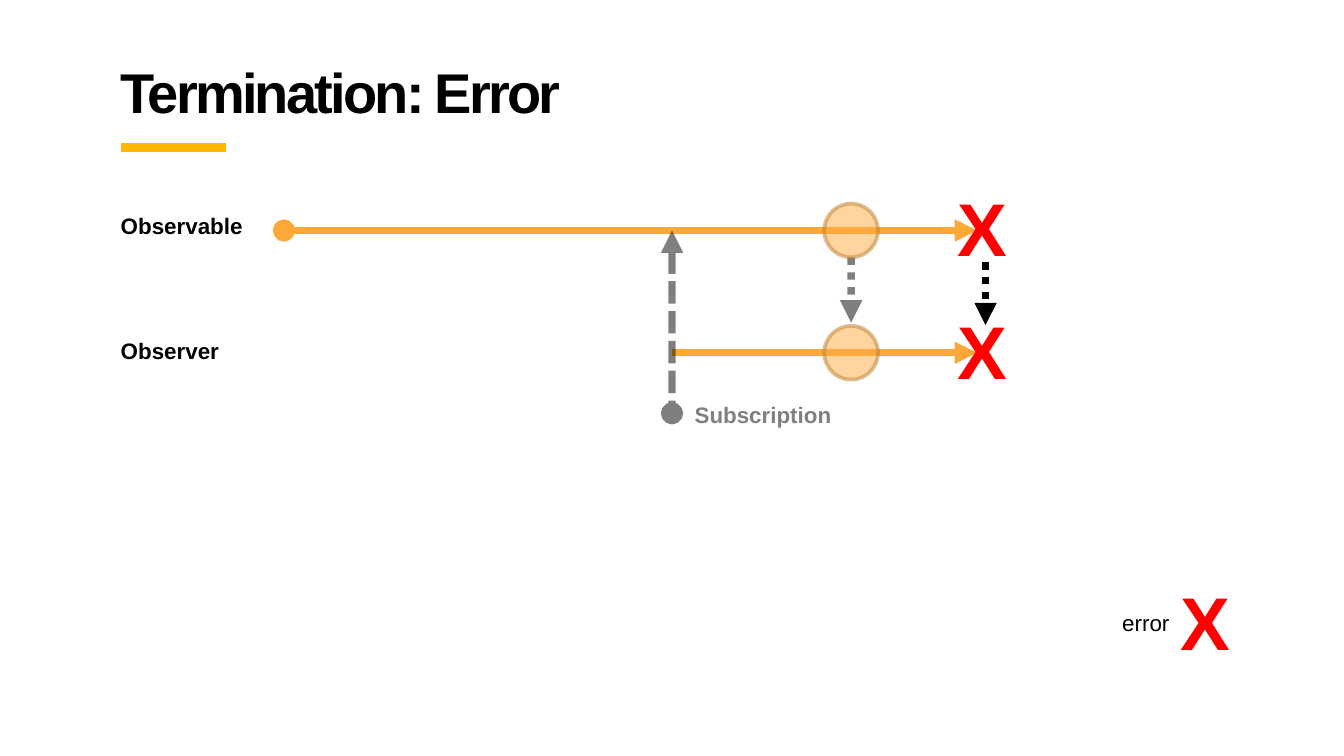
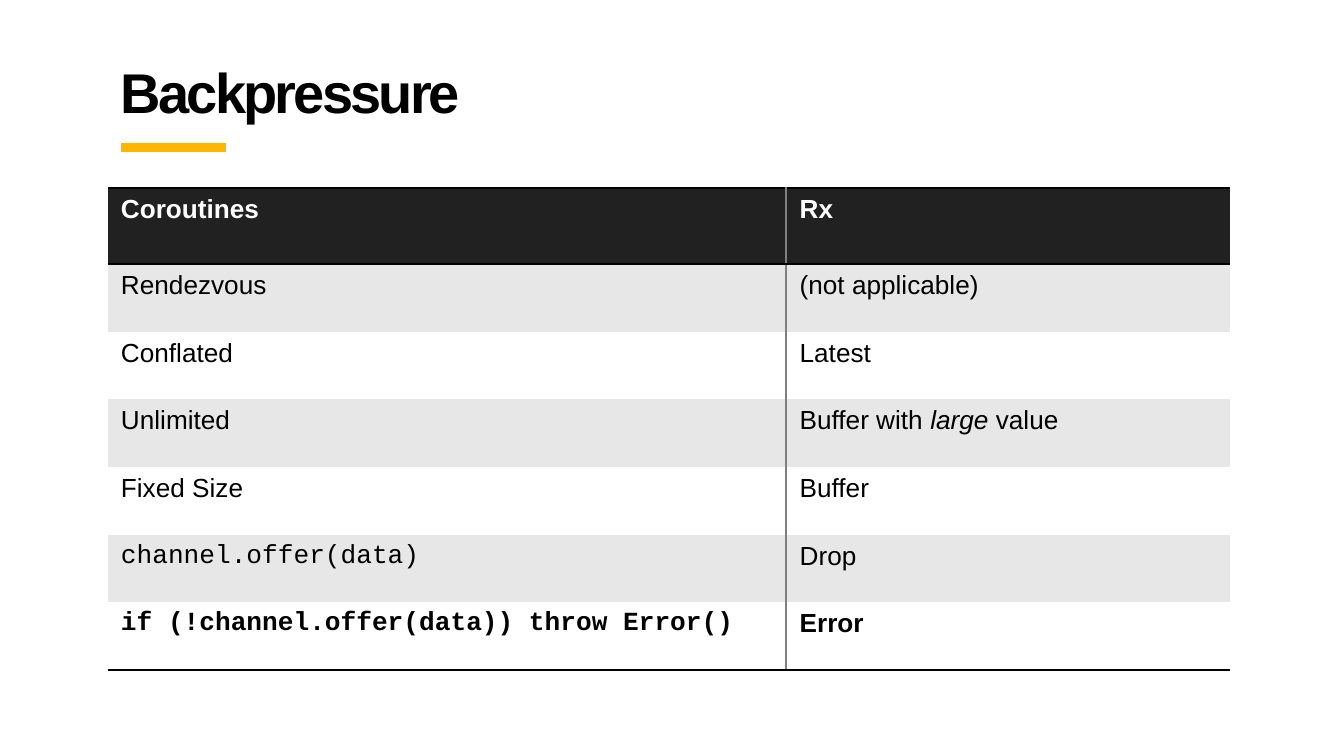
import pptx
import pptx.dml.color
import pptx.enum.dml
import pptx.enum.shapes
import pptx.enum.text
import pptx.oxml.ns
import pptx.util
from lxml import etree

RGBColor = pptx.dml.color.RGBColor
BLACK = RGBColor(0x00, 0x00, 0x00)
WHITE = RGBColor(0xFF, 0xFF, 0xFF)
GRAY = RGBColor(0x80, 0x80, 0x80)
RED = RGBColor(0xFF, 0x00, 0x00)
YELLOW = RGBColor(0xFF, 0xB6, 0x00)
ORANGE = RGBColor(0xFE, 0xA8, 0x3A)
EVENT_FILL = RGBColor(0xFF, 0xAB, 0x40)
EVENT_LINE = RGBColor(0xBD, 0x7F, 0x2F)
HEADER = RGBColor(0x21, 0x21, 0x21)
BAND = RGBColor(0xE7, 0xE7, 0xE7)

SANS = "Arial"
MONO = "Courier New"
DASHED = pptx.enum.dml.MSO_LINE.SQUARE_DOT
DOTTED = pptx.enum.dml.MSO_LINE.ROUND_DOT
RIGHT = pptx.enum.text.PP_ALIGN.RIGHT
NO_TABLE_STYLE = "{2D5ABB26-0587-4C30-8999-92F81FD0307C}"

GRID_COLS, GRID_ROWS = 100, 56.25
MARGIN, CONTENT_WIDTH = 8, 83.5
OBSERVABLE_ROW, OBSERVER_ROW = 17.15, 26.25
SUBSCRIBE_COL, EVENT_COL, ERROR_COL, END_COL = 50, 63.33, 73.33, 72.7
EVENT_RADIUS = 2

HEADINGS = ["Coroutines", "Rx"]
STRATEGIES = [
    ([("Rendezvous", {})], [("(not applicable)", {})]),
    ([("Conflated", {})], [("Latest", {})]),
    ([("Unlimited", {})],
     [("Buffer with ", {}), ("large", {"italic": True}), (" value", {})]),
    ([("Fixed Size", {})], [("Buffer", {})]),
    ([("channel.offer(data)", {"font": MONO})], [("Drop", {})]),
    ([("if (!channel.offer(data)) throw Error()",
       {"font": MONO, "bold": True})],
     [("Error", {"bold": True})]),
]


def grid(*cells):
    return [pptx.util.Inches(n / 10) for n in cells]


def add_xml(parent, tag, **attributes):
    return etree.SubElement(parent, pptx.oxml.ns.qn(tag), **attributes)


def set_alpha(fill_parent, percent):
    for color in fill_parent.iter(pptx.oxml.ns.qn("a:srgbClr")):
        add_xml(color, "a:alpha", val=str(percent * 1000))


def add_run(p, text, size, color=BLACK, bold=False, italic=False, font=SANS):
    r = p.add_run()
    r.text = text
    r.font.name = font
    r.font.size = pptx.util.Pt(size)
    r.font.bold = bold
    r.font.italic = italic
    r.font.color.rgb = color
    return r


def add_label(s, box, text, size=12, color=BLACK, bold=True, align=None):
    tf = s.shapes.add_textbox(*grid(*box)).text_frame
    tf.word_wrap = True
    tf.auto_size = pptx.enum.text.MSO_AUTO_SIZE.SHAPE_TO_FIT_TEXT
    p = tf.paragraphs[0]
    p.alignment = align
    add_run(p, text, size, color, bold)


def add_line(s, start, end, color, width=4, dash=None, alpha=None,
             head=None, tail=None):
    c = s.shapes.add_connector(pptx.enum.shapes.MSO_CONNECTOR.STRAIGHT,
                               *grid(*start, *end))
    c.line.color.rgb = color
    c.line.width = pptx.util.Pt(width)
    if dash:
        c.line.dash_style = dash
    ln = c.line._get_or_add_ln()
    if alpha:
        set_alpha(ln, alpha)
    for tag, kind in (("a:headEnd", head), ("a:tailEnd", tail)):
        if kind:
            add_xml(ln, tag, type=kind)
    add_xml(c._element.spPr, "a:effectLst")


def add_event(s, row):
    size = 2 * EVENT_RADIUS
    sp = s.shapes.add_shape(
        pptx.enum.shapes.MSO_SHAPE.OVAL,
        *grid(EVENT_COL - EVENT_RADIUS, row - EVENT_RADIUS, size, size))
    sp.shadow.inherit = False
    sp.fill.solid()
    sp.fill.fore_color.rgb = EVENT_FILL
    sp.line.color.rgb = EVENT_LINE
    sp.line.width = pptx.util.Pt(2)
    set_alpha(sp._element.spPr, 50)


def add_error_mark(s, col, row):
    add_label(s, (col, row, 5.6, 7.7), "X", 40, RED)


def add_titled_slide(prs, title):
    s = prs.slides.add_slide(prs.slide_layouts[6])
    tf = s.shapes.add_textbox(*grid(MARGIN, 4, CONTENT_WIDTH, 6.3)).text_frame
    tf.word_wrap = True
    tf.margin_top = tf.margin_bottom = pptx.util.Inches(0.1)
    tf.vertical_anchor = pptx.enum.text.MSO_ANCHOR.BOTTOM
    r = add_run(tf.paragraphs[0], title, 30, bold=True)
    r._r.get_or_add_rPr().set("spc", "-150")
    add_line(s, (MARGIN + 1, 11), (MARGIN + 8.8, 11), YELLOW, 5)
    return s


def set_borders(cell, borders):
    tc_pr = cell._tc.get_or_add_tcPr()
    for i, (side, color, width) in enumerate(borders):
        ln = add_xml(tc_pr, "a:ln" + side, w=str(pptx.util.Pt(width)))
        fill = add_xml(ln, "a:solidFill")
        add_xml(fill, "a:srgbClr", val=str(color))
        tc_pr.insert(i, ln)


def add_table(s, headings, rows, widths, heights):
    shape = s.shapes.add_table(
        len(heights), len(widths),
        *grid(MARGIN, 14, sum(widths), sum(heights)))
    table = shape.table
    table._tbl.tblPr[0].text = NO_TABLE_STYLE
    for column, width in zip(table.columns, grid(*widths)):
        column.width = width
    for row, height in zip(table.rows, grid(*heights)):
        row.height = height
    header = [[(text, {"bold": True, "color": WHITE})] for text in headings]
    for i, row in enumerate([header, *rows]):
        for j, runs in enumerate(row):
            cell = table.cell(i, j)
            cell.fill.solid()
            cell.fill.fore_color.rgb = (
                HEADER if i == 0 else BAND if i % 2 else WHITE)
            for text, style in runs:
                add_run(cell.text_frame.paragraphs[0], text, 14, **style)
            borders = [("L" if j else "R", GRAY, 1)]
            if i == 0:
                borders.append(("T", BLACK, 1.5))
            if i in (0, len(rows)):
                borders.append(("B", BLACK, 1.5))
            set_borders(cell, borders)


def add_error_slide(prs):
    s = add_titled_slide(prs, "Termination: Error")
    add_line(s, (21.13, OBSERVABLE_ROW), (END_COL, OBSERVABLE_ROW), ORANGE,
             head="oval", tail="triangle")
    add_line(s, (SUBSCRIBE_COL, OBSERVER_ROW), (END_COL, OBSERVER_ROW),
             ORANGE, tail="triangle")
    add_line(s, (SUBSCRIBE_COL, OBSERVABLE_ROW), (SUBSCRIBE_COL, 30.75),
             BLACK, dash=DASHED, alpha=50, head="triangle", tail="oval")
    add_line(s, (EVENT_COL, OBSERVABLE_ROW + EVENT_RADIUS), (EVENT_COL, 24),
             BLACK, dash=DOTTED, alpha=50, tail="triangle")
    add_line(s, (ERROR_COL, 19.5), (ERROR_COL, 24.2), BLACK,
             dash=DOTTED, tail="triangle")
    for name, row, label_top, label_height in (
            ("Observable", OBSERVABLE_ROW, 15.3, 6.4),
            ("Observer", OBSERVER_ROW, 24.6, 3)):
        add_event(s, row)
        add_label(s, (MARGIN, label_top, 11.9, label_height), name)
        add_error_mark(s, 70.24, row - 4.08)
    add_label(s, (SUBSCRIBE_COL + 0.7, 29.33, 14, 3), "Subscription",
              color=GRAY)
    add_label(s, (78.3, 44.84, 9.7, 3), "error", bold=False, align=RIGHT)
    add_error_mark(s, 86.85, 42.34)


def add_backpressure_slide(prs):
    s = add_titled_slide(prs, "Backpressure")
    add_table(s, HEADINGS, STRATEGIES, [50.5, 33],
              [5.63] + [5.04] * len(STRATEGIES))


def main():
    prs = pptx.Presentation()
    prs.slide_width, prs.slide_height = grid(GRID_COLS, GRID_ROWS)
    add_error_slide(prs)
    add_backpressure_slide(prs)
    prs.save("out.pptx")


if __name__ == "__main__":
    main()
